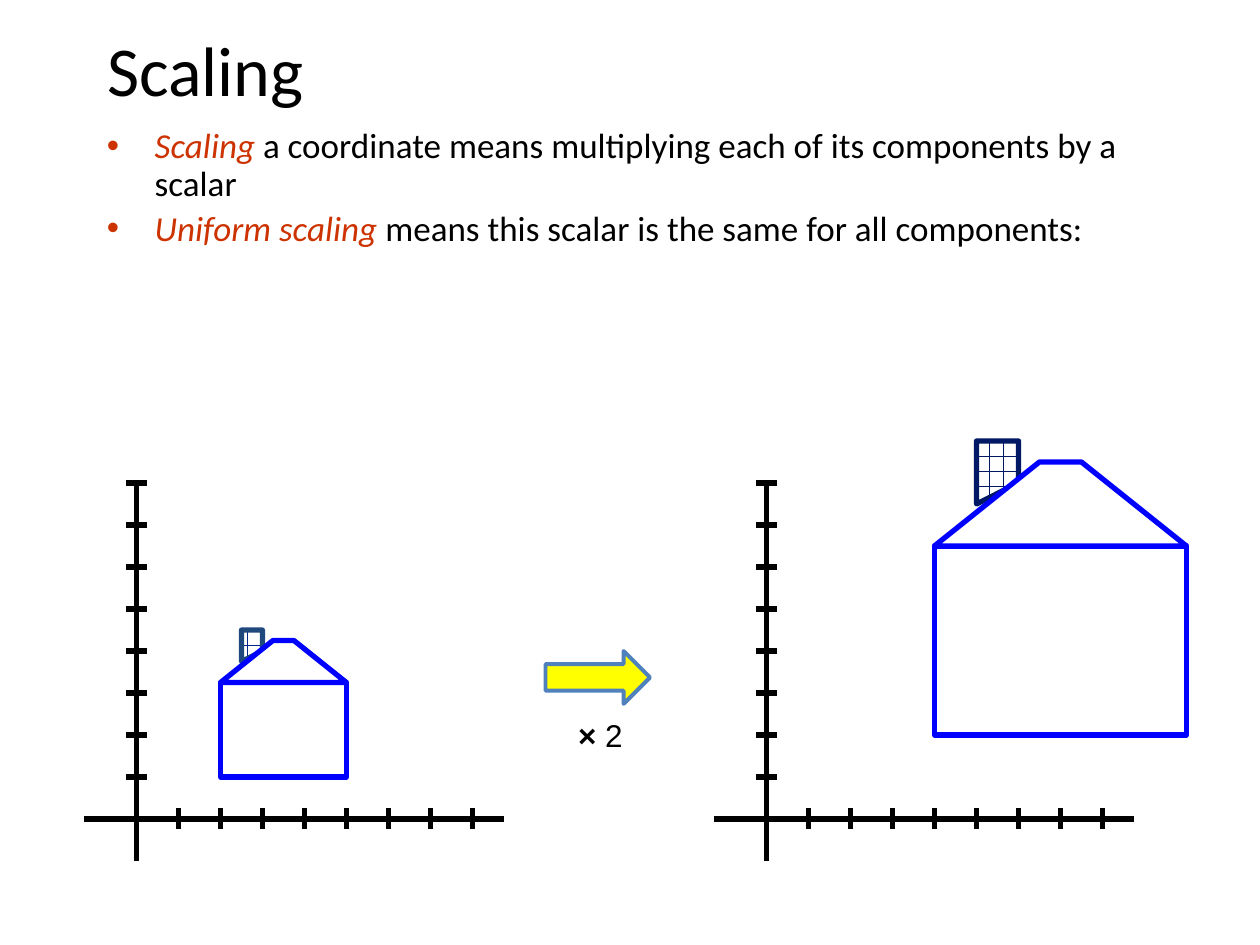
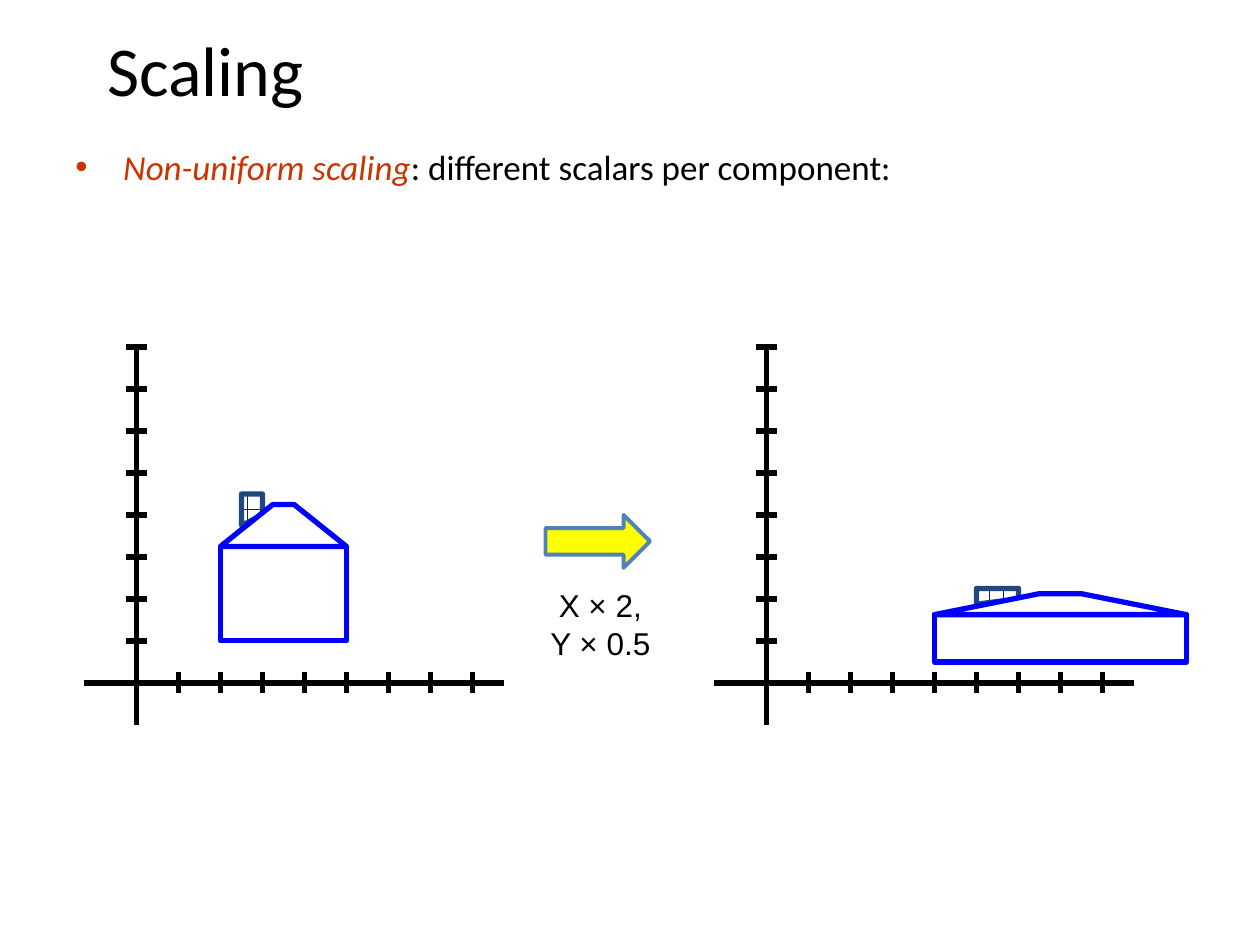
from dataclasses import dataclass
from typing import NamedTuple

from lxml.etree import SubElement
from pptx import Presentation
from pptx.dml.color import RGBColor
from pptx.enum.dml import MSO_PATTERN
from pptx.enum.shapes import MSO_CONNECTOR, MSO_SHAPE
from pptx.enum.text import MSO_ANCHOR, MSO_AUTO_SIZE, PP_ALIGN
from pptx.oxml.ns import qn
from pptx.util import Inches, Pt

COLORS = {
    "text": "000000",
    "term": "CC3300",
    "house": "0000FF",
    "paper": "FFFFFF",
    "arrow": "FFFF00",
    "arrow_edge": "4F81BD",
    "brick": "032389",
    "chimney_edge": "1F497D",
    "dark_brick": "011965",
}

# Diagram geometry: one axis unit is a third of an inch
UNIT = 1 / 3
TICKS = 8
TICK_HALF = UNIT / 4
LEFT_ORIGIN_X = 1 + TICK_HALF
RIGHT_ORIGIN_X = LEFT_ORIGIN_X + 5

# House outline in axis units
CHIMNEY = [(2.5, 3.75), (2.5, 4.5), (3, 4.5), (3, 4)]
ROOF = [(2, 3.25), (3.25, 4.25), (3.75, 4.25), (5, 3.25)]
WALL_LEFT, WALL_RIGHT, WALL_BOTTOM, WALL_TOP = 2, 5, 1, 3.25


class Point(NamedTuple):
    x: float
    y: float


class Box(NamedTuple):
    left: float
    top: float
    width: float
    height: float

    def lengths(self):
        return [Inches(value) for value in self]


class Bullet(NamedTuple):
    term: str
    rest: str


class Span(NamedTuple):
    text: str
    bold: bool = False


@dataclass
class Scaling:
    bullets: list[Bullet]
    bullet_box: Box
    bullet_inset: float
    axis_y: float
    scale: Point
    label: list[Span]
    label_box: Box
    scaled_brick: str = "brick"
    scaled_chimney_edge: str = "chimney_edge"


SCALINGS = [
    Scaling(
        bullets=[
            Bullet("Scaling", " a coordinate means multiplying each of its components by a scalar"),
            Bullet("Uniform scaling", " means this scalar is the same for all components:"),
        ],
        bullet_box=Box(0.75, 1, 8.5, 2.62),
        bullet_inset=0.02,
        axis_y=6.5,
        scale=Point(2, 2),
        label=[Span("× ", bold=True), Span("2")],
        label_box=Box(4.45, 5.58, 0.63, 0.5),
        scaled_brick="dark_brick",
        scaled_chimney_edge="dark_brick",
    ),
    Scaling(
        bullets=[Bullet("Non-uniform scaling", ": different scalars per component:")],
        bullet_box=Box(0.5, 1.08, 9, 5.62),
        bullet_inset=0.11,
        axis_y=5.42,
        scale=Point(2, 0.5),
        label=[Span("X × 2,"), Span("\n"), Span("Y × 0.5")],
        label_box=Box(4.23, 4.5, 1.07, 0.9),
    ),
]


def rgb(name: str) -> RGBColor:
    return RGBColor.from_string(COLORS[name])


def at(origin: Point, x: float, y: float) -> Point:
    """Slide position of a point given in axis units."""
    return Point(origin.x + x * UNIT, origin.y - y * UNIT)


def outline(shape, color: str, width: float = 3) -> None:
    shape.line.color.rgb = rgb(color)
    shape.line.width = Pt(width)
    shape.shadow.inherit = False


def fill_solid(shape, color: str) -> None:
    shape.fill.solid()
    shape.fill.fore_color.rgb = rgb(color)


# Text
def add_title(slide, text: str) -> None:
    title = slide.shapes.title
    title.left, title.top, title.width, title.height = Box(0.75, 0.08, 8.5, 0.92).lengths()
    frame = title.text_frame
    frame.text = text
    frame.vertical_anchor = MSO_ANCHOR.MIDDLE
    heading = frame.paragraphs[0]
    heading.alignment = PP_ALIGN.LEFT
    heading.font.name = "Calibri"
    heading.font.size = Pt(40)
    heading.font.color.rgb = rgb("text")


def mark_bullet(paragraph) -> None:
    properties = paragraph._p.get_or_add_pPr()
    properties.set("marL", str(Inches(0.38)))
    properties.set("indent", str(Inches(-0.38)))
    color = SubElement(properties, qn("a:buClr"))
    SubElement(color, qn("a:srgbClr"), val=COLORS["term"])
    SubElement(properties, qn("a:buFont"), typeface="Arial")
    SubElement(properties, qn("a:buChar"), char="•")


def add_bullets(slide, scaling: Scaling) -> None:
    frame = slide.shapes.add_textbox(*scaling.bullet_box.lengths()).text_frame
    frame.word_wrap = True
    frame.margin_top = Inches(scaling.bullet_inset)
    for index, bullet in enumerate(scaling.bullets):
        paragraph = frame.add_paragraph() if index else frame.paragraphs[0]
        mark_bullet(paragraph)
        paragraph.line_spacing = 0.9
        paragraph.space_before = Pt(4 if index else 0)
        paragraph.font.name = "Calibri"
        paragraph.font.size = Pt(20)
        for text, color in zip(bullet, ("term", "text")):
            run = paragraph.add_run()
            run.text = text
            run.font.italic = color == "term"
            run.font.color.rgb = rgb(color)


def add_label(slide, spans: list[Span], box: Box) -> None:
    frame = slide.shapes.add_textbox(*box.lengths()).text_frame
    frame.word_wrap = False
    frame.auto_size = MSO_AUTO_SIZE.SHAPE_TO_FIT_TEXT
    frame.vertical_anchor = MSO_ANCHOR.MIDDLE
    paragraph = frame.paragraphs[0]
    paragraph.alignment = PP_ALIGN.CENTER
    paragraph.font.name = "Arial"
    paragraph.font.size = Pt(18)
    paragraph.font.color.rgb = rgb("text")
    for span in spans:
        if span.text == "\n":
            paragraph.add_line_break()
            continue
        run = paragraph.add_run()
        run.text = span.text
        run.font.bold = span.bold


# Axes
def add_line(slide, start: Point, end: Point) -> None:
    ends = [Inches(value) for value in (*start, *end)]
    line = slide.shapes.add_connector(MSO_CONNECTOR.STRAIGHT, *ends)
    line.line.color.rgb = rgb("text")
    line.line.width = Pt(3)
    SubElement(line._element.spPr, qn("a:effectLst"))


def add_axes(slide, origin: Point) -> None:
    add_line(slide, at(origin, 0, TICKS), at(origin, 0, -1))
    add_line(slide, at(origin, -1.25, 0), at(origin, 8.75, 0))
    for tick in range(1, TICKS + 1):
        x, y = at(origin, tick, tick)
        add_line(slide, Point(x, origin.y - TICK_HALF), Point(x, origin.y + TICK_HALF))
        add_line(slide, Point(origin.x - TICK_HALF, y), Point(origin.x + TICK_HALF, y))


# House
def add_outline(slide, origin: Point, scale: Point, corners: list):
    points = [
        tuple(Inches(value) for value in at(origin, x * scale.x, y * scale.y))
        for x, y in corners
    ]
    builder = slide.shapes.build_freeform(*points[0])
    builder.add_line_segments(points[1:], close=True)
    return builder.convert_to_shape()


def add_house(slide, origin: Point, scale: Point, brick: str, chimney_edge: str) -> None:
    chimney = add_outline(slide, origin, scale, CHIMNEY)
    chimney.fill.patterned()
    chimney.fill.pattern = MSO_PATTERN.HORIZONTAL_BRICK
    chimney.fill.fore_color.rgb = rgb(brick)
    chimney.fill.back_color.rgb = rgb("paper")
    outline(chimney, chimney_edge)

    left, top = at(origin, WALL_LEFT * scale.x, WALL_TOP * scale.y)
    right, bottom = at(origin, WALL_RIGHT * scale.x, WALL_BOTTOM * scale.y)
    walls_box = Box(left, top, right - left, bottom - top)
    walls = slide.shapes.add_shape(MSO_SHAPE.RECTANGLE, *walls_box.lengths())
    roof = add_outline(slide, origin, scale, ROOF)
    for part in (walls, roof):
        fill_solid(part, "paper")
        outline(part, "house")


def add_arrow(slide, axis_y: float) -> None:
    box = Box(4.33, axis_y - 4 * UNIT, 0.83, 0.42)
    arrow = slide.shapes.add_shape(MSO_SHAPE.RIGHT_ARROW, *box.lengths())
    fill_solid(arrow, "arrow")
    outline(arrow, "arrow_edge", 2.25)


def add_scaling_slide(deck, scaling: Scaling) -> None:
    slide = deck.slides.add_slide(deck.slide_layouts.get_by_name("Title Only"))
    add_title(slide, "Scaling")
    add_bullets(slide, scaling)

    before = Point(LEFT_ORIGIN_X, scaling.axis_y)
    add_axes(slide, before)
    add_house(slide, before, Point(1, 1), "brick", "chimney_edge")

    after = Point(RIGHT_ORIGIN_X, scaling.axis_y)
    add_axes(slide, after)
    add_house(slide, after, scaling.scale, scaling.scaled_brick, scaling.scaled_chimney_edge)

    add_arrow(slide, scaling.axis_y)
    add_label(slide, scaling.label, scaling.label_box)


def main() -> None:
    deck = Presentation()
    deck.slide_width, deck.slide_height = Inches(10), Inches(7.5)
    for scaling in SCALINGS:
        add_scaling_slide(deck, scaling)
    deck.save("out.pptx")


if __name__ == "__main__":
    main()
